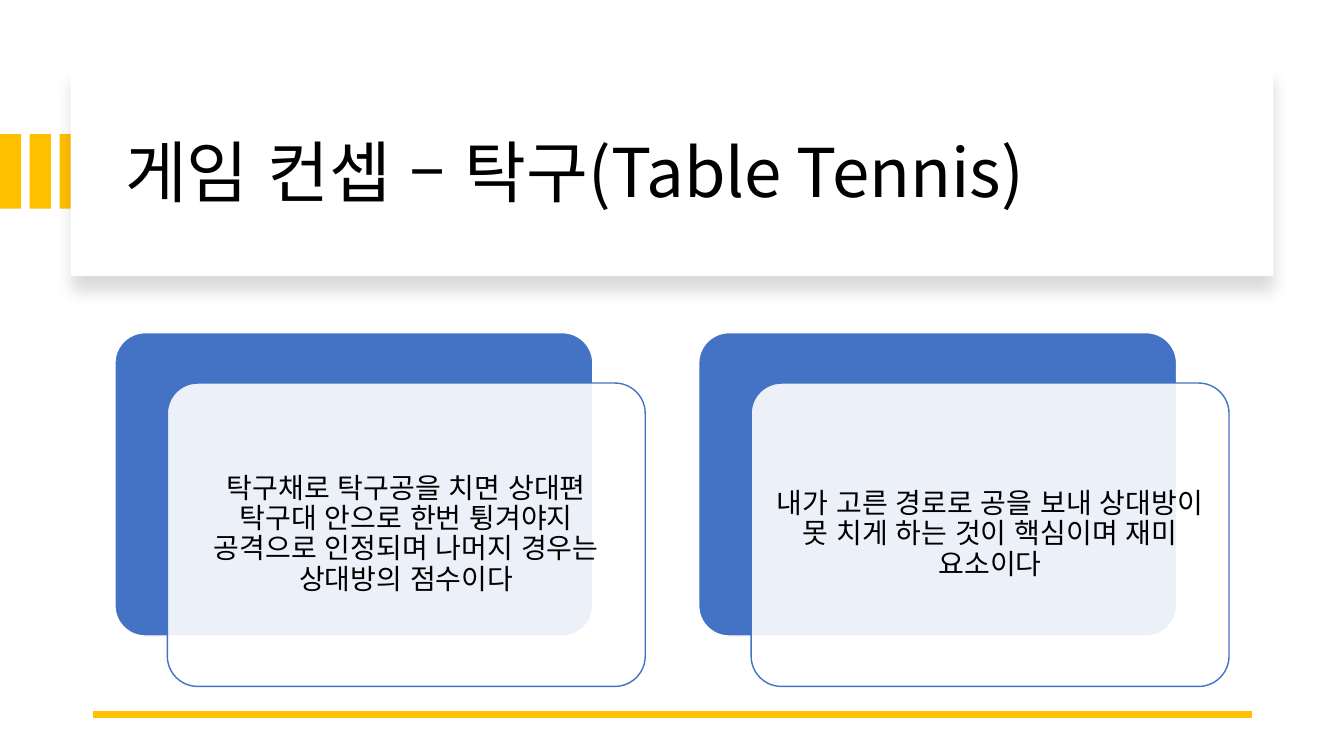
import pptx
import pptx.dml.color
import pptx.enum.lang
import pptx.enum.shapes
import pptx.enum.text
import pptx.oxml
import pptx.oxml.ns
import pptx.util
import lxml.etree

Inches = pptx.util.Inches
Pt = pptx.util.Pt
Shape = pptx.enum.shapes.MSO_SHAPE
Align = pptx.enum.text.PP_ALIGN
NS = pptx.oxml.ns.nsdecls("a")
HUES = {"gold": "FFC000", "blue": "4472C4", "white": "FFFFFF", "black": "000000"}
FACE = "Noto Sans CJK KR"
CARDS = [
    "탁구채로 탁구공을 치면 상대편 탁구대 안으로 한번 튕겨야지 공격으로 인정되며 나머지 경우는 상대방의 점수이다",
    "내가 고른 경로로 공을 보내 상대방이 못 치게 하는 것이 핵심이며 재미 요소이다",
]


def hue(name):
    return pptx.dml.color.RGBColor.from_string(HUES[name])


def apply(item, values):
    for key, value in values.items():
        setattr(item, key, value)


class Deck:
    """Hold the style and the current slide, and draw each kind of element."""

    def __init__(self):
        self.file = pptx.Presentation()
        apply(self.file, {"slide_width": Inches(13.33), "slide_height": Inches(7.5)})
        self.slide = self.file.slides.add_slide(self.file.slide_layouts[5])
        self.shapes = self.slide.shapes

    def box(self, kind, area, fill, line=None, alpha=None):
        shape = self.shapes.add_shape(kind, *map(Inches, area))
        shape.shadow.inherit = False
        shape.fill.solid()
        shape.fill.fore_color.rgb = hue(fill)
        if kind == Shape.ROUNDED_RECTANGLE:
            shape.adjustments[0] = 0.1
        if line:
            shape.line.color.rgb = hue(line)
            shape.line.width = Pt(1)
        else:
            shape.line.fill.background()
        if alpha:
            tint = shape.element.spPr.find(".//" + pptx.oxml.ns.qn("a:srgbClr"))
            lxml.etree.SubElement(tint, pptx.oxml.ns.qn("a:alpha"), val=str(alpha * 1000))
        return shape

    def panel(self, area):
        shape = self.box(Shape.RECTANGLE, area, "white")
        glow = shape.element.spPr.find(pptx.oxml.ns.qn("a:effectLst"))
        glow.append(pptx.oxml.parse_xml(
            f'<a:outerShdw {NS} blurRad="{Pt(11)}" dist="{Pt(10)}" dir="5400000" '
            f'algn="t" rotWithShape="0"><a:srgbClr val="{HUES["black"]}">'
            '<a:alpha val="15000"/></a:srgbClr></a:outerShdw>'))

    def label(self, shape, text, size, align, inset):
        frame = shape.text_frame
        apply(frame, {
            "word_wrap": True,
            "auto_size": pptx.enum.text.MSO_AUTO_SIZE.NONE,
            "vertical_anchor": pptx.enum.text.MSO_ANCHOR.MIDDLE,
            "margin_left": Inches(inset), "margin_right": Inches(inset),
            "margin_top": Inches(inset), "margin_bottom": Inches(inset),
        })
        para = frame.paragraphs[0]
        apply(para, {"alignment": align, "line_spacing": 0.9})
        run = para.add_run()
        run.text = text
        apply(run.font, {"size": Pt(size), "name": FACE,
                         "language_id": pptx.enum.lang.MSO_LANGUAGE_ID.KOREAN})
        run.font.color.rgb = hue("black")
        east = pptx.oxml.parse_xml(f'<a:ea {NS} typeface="{FACE}"/>')
        run.font._element.find(pptx.oxml.ns.qn("a:latin")).addnext(east)

    def title(self, text, area):
        shape = self.shapes.title
        apply(shape, dict(zip(("left", "top", "width", "height"), map(Inches, area))))
        self.label(shape, text, 48, Align.LEFT, 0.1)
        shape.element.getparent().append(shape.element)

    def text(self, text, area):
        shape = self.shapes.add_textbox(*map(Inches, area))
        self.label(shape, text, 20, Align.CENTER, 0.08)

    def rule(self, start, end):
        line = self.shapes.add_connector(
            pptx.enum.shapes.MSO_CONNECTOR.STRAIGHT, *map(Inches, start + end))
        line.line.color.rgb = hue("gold")
        line.line.width = Pt(4.5)
        line.element.spPr.append(pptx.oxml.parse_xml(f"<a:effectLst {NS}/>"))

    def card(self, left, top, text):
        wide, high = 4.74, 3.01
        kind = Shape.ROUNDED_RECTANGLE
        self.box(kind, (left, top, wide, high), "blue", "white")
        left, top = left + 0.52, top + 0.5
        self.box(kind, (left, top, wide, high), "white", "blue", 90)
        self.text(text, (left + 0.09, top + 0.09, wide - 0.18, high - 0.18))


def main():
    deck = Deck()
    for i in range(3):
        deck.box(Shape.RECTANGLE, (i * 0.295, 1.33, 0.21, 0.74), "gold")
    deck.panel((0.7, 0.67, 11.93, 2.07))
    deck.title("게임 컨셉 – 탁구(Table Tennis)", (1.14, 0.89, 11.13, 1.7))
    deck.rule((12.42, 7.09), (0.92, 7.09))
    for i, text in enumerate(CARDS):
        deck.card(1.14 + i * 5.79, 3.3, text)
    deck.file.save("out.pptx")


if __name__ == "__main__":
    main()
